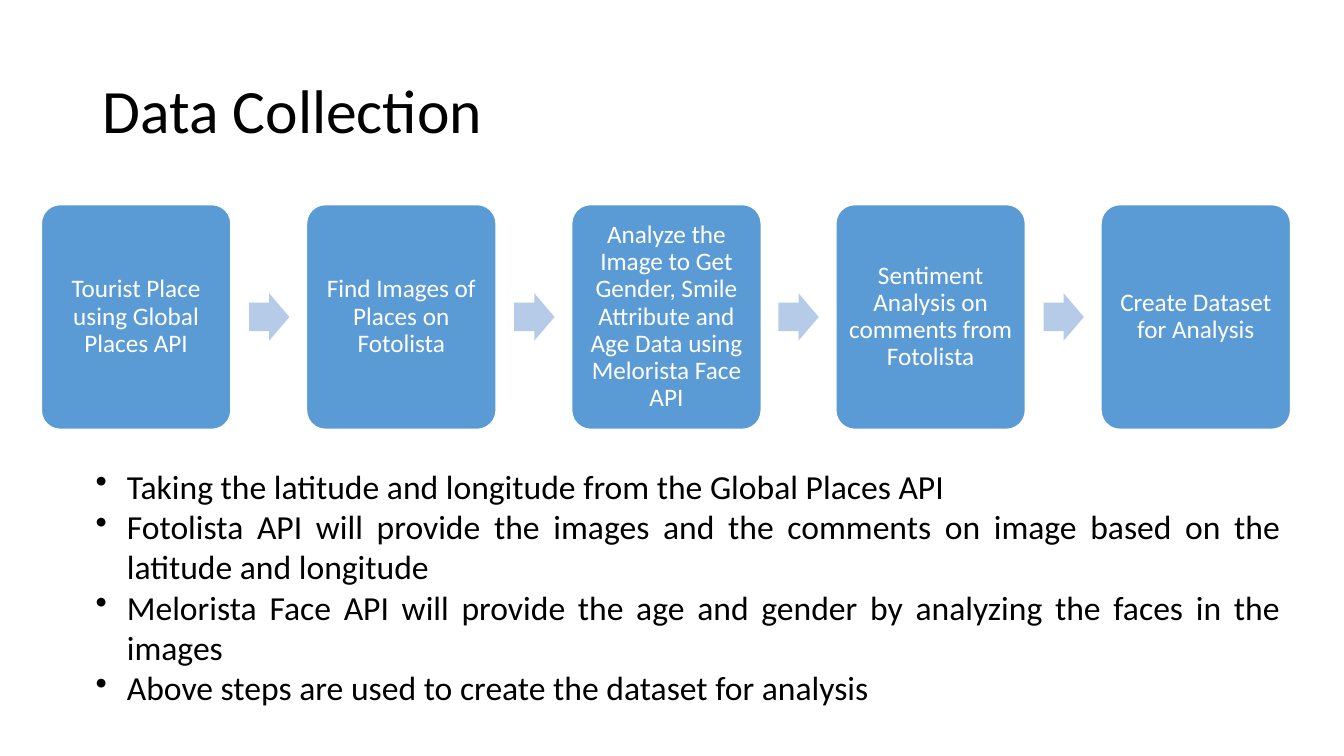
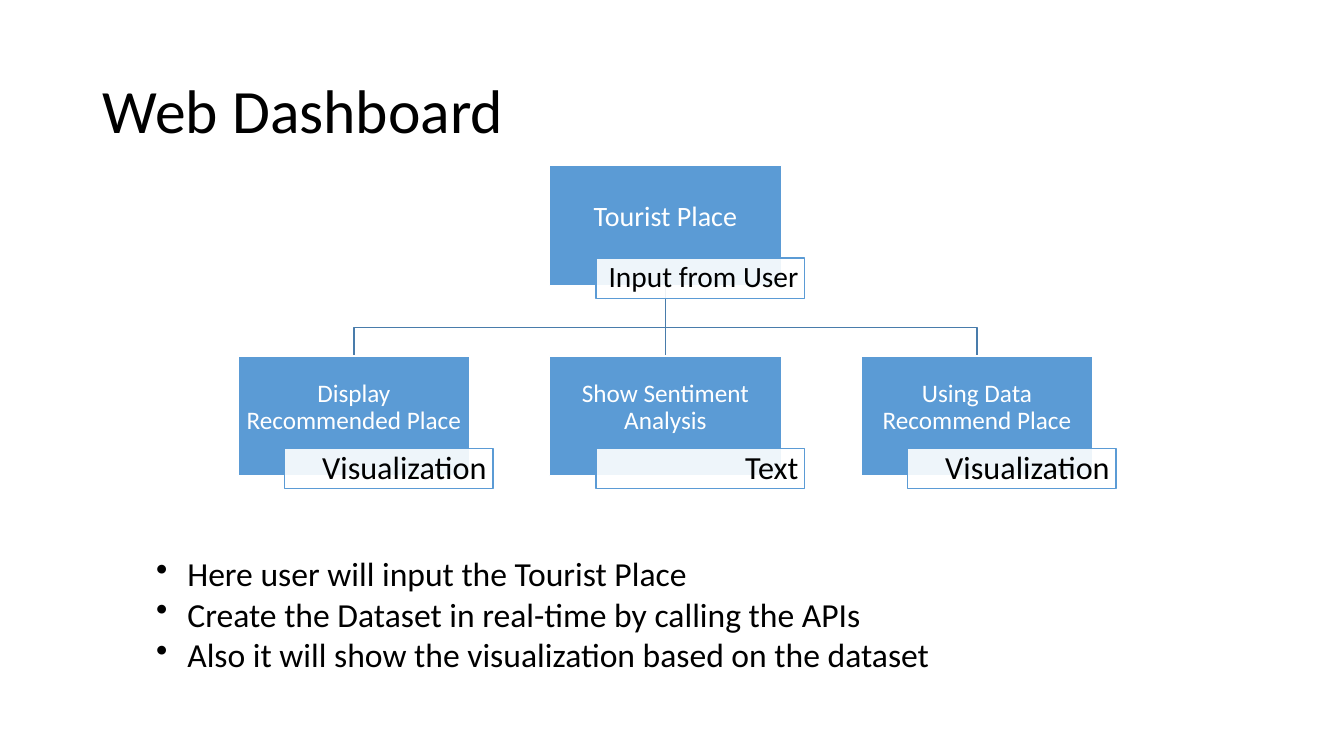
from pptx import Presentation
from pptx.dml.color import RGBColor
from pptx.enum.shapes import MSO_CONNECTOR as Connector, MSO_SHAPE as Shape
from pptx.enum.text import MSO_ANCHOR as Anchor, PP_ALIGN as Align
from pptx.oxml.xmlchemy import OxmlElement
from pptx.util import Emu, Pt


def px(length):
    """Turn px, 100 to the inch, into EMU."""
    return Emu(length * 9144)


def color(value):
    """Turn a hex string into a colour."""
    return RGBColor.from_string(value)


class Deck:
    """Hold the shared style and the slide being built."""

    FONT = "Calibri"
    BLUE, PALE_BLUE, LINK_BLUE = "5B9BD5", "B5CBE7", "497CAB"
    WHITE, BLACK = "FFFFFF", "000000"

    def __init__(self):
        """Start a wide presentation."""
        self.presentation = Presentation()
        self.presentation.slide_width = px(1333)
        self.presentation.slide_height = px(750)
        self.slide = None

    def add_slide(self, title):
        """Add a blank slide with the shared title."""
        self.slide = self.presentation.slides.add_slide(self.presentation.slide_layouts[6])
        frame = self.text_box(92, 40, 1150, 145)
        frame.vertical_anchor = Anchor.MIDDLE
        self.add_text(frame.paragraphs[0], title, 44, self.BLACK, Align.LEFT, 0.9)

    def text_box(self, left, top, width, height):
        """Add a wrapping text box and return its frame."""
        frame = self.slide.shapes.add_textbox(px(left), px(top), px(width), px(height)).text_frame
        frame.word_wrap = True
        return frame

    def add_text(self, paragraph, text, size, ink, align, spacing=1.0):
        """Fill a paragraph with one styled run."""
        paragraph.alignment = align
        paragraph.line_spacing = spacing
        run = paragraph.add_run()
        run.text = text
        run.font.name = self.FONT
        run.font.size = Pt(size)
        run.font.color.rgb = color(ink)

    def bullets(self, left, top, width, height, items):
        """Add a justified bullet list."""
        frame = self.text_box(left, top, width, height)
        for index, item in enumerate(items):
            paragraph = frame.add_paragraph() if index else frame.paragraphs[0]
            properties = paragraph._p.get_or_add_pPr()
            properties.set("marL", str(px(31)))
            properties.set("indent", str(px(-31)))
            bullet = OxmlElement("a:buChar")
            bullet.set("char", "•")
            properties.append(bullet)
            self.add_text(paragraph, item, 24, self.BLACK, Align.JUSTIFY)

    def block(self, kind, left, top, width, height, fill, outline=None, adjustments=()):
        """Add a filled preset shape."""
        shape = self.slide.shapes.add_shape(kind, px(left), px(top), px(width), px(height))
        shape.shadow.inherit = False
        for index, value in enumerate(adjustments):
            shape.adjustments[index] = value
        shape.fill.solid()
        shape.fill.fore_color.rgb = color(fill)
        if outline:
            shape.line.color.rgb = color(outline)
            shape.line.width = Pt(1)
        else:
            shape.line.fill.background()
        return shape

    def caption(self, shape, text, size, ink, align, insets):
        """Put text in the middle of a shape."""
        frame = shape.text_frame
        frame.word_wrap = True
        frame.vertical_anchor = Anchor.MIDDLE
        frame.margin_left, frame.margin_top, frame.margin_right, frame.margin_bottom = map(px, insets)
        self.add_text(frame.paragraphs[0], text, size, ink, align, 0.9)

    def step(self, left, text):
        """Add one rounded step of the process."""
        shape = self.block(Shape.ROUNDED_RECTANGLE, left, 203, 188, 223, self.BLUE, self.WHITE, [0.1])
        self.caption(shape, text, 18, self.WHITE, Align.CENTER, (7, 7, 7, 7))

    def arrow(self, left):
        """Add an arrow between two steps."""
        self.block(Shape.RIGHT_ARROW, left, 291, 40, 47, self.PALE_BLUE, adjustments=[0.6, 0.5])

    def node(self, center, top, text, size, label, label_size):
        """Add a chart box with its translucent label."""
        box = self.block(Shape.RECTANGLE, center - 115, top, 230, 119, self.BLUE, self.WHITE)
        self.caption(box, text, size, self.WHITE, Align.CENTER, (1, 1, 1, 17))
        tag = self.block(Shape.RECTANGLE, center - 69, top + 92, 207, 40, self.WHITE, self.BLUE)
        alpha = OxmlElement("a:alpha")
        alpha.set("val", "90000")
        tag.element.spPr.xpath("./a:solidFill/a:srgbClr")[0].append(alpha)
        self.caption(tag, label, label_size, self.BLACK, Align.RIGHT, (6, 1, 6, 1))

    def link(self, start, end, top, bend, bottom):
        """Join a parent to a child, with a bend when they are not aligned."""
        shapes = self.slide.shapes
        if start == end:
            line = shapes.add_connector(Connector.STRAIGHT, px(start), px(top), px(end), px(bottom))
            line.element.spPr.append(OxmlElement("a:effectLst"))
        else:
            builder = shapes.build_freeform(px(start), px(top))
            corners = [(start, bend), (end, bend), (end, bottom)]
            builder.add_line_segments([(px(x), px(y)) for x, y in corners], close=False)
            line = builder.convert_to_shape()
            line.shadow.inherit = False
            line.fill.background()
        line.line.color.rgb = color(self.LINK_BLUE)
        line.line.width = Pt(1)


def data_collection(deck):
    """Build the process slide."""
    deck.add_slide("Data Collection")
    steps = [
        "Tourist Place using Global Places API",
        "Find Images of Places on Fotolista",
        "Analyze the Image to Get Gender, Smile Attribute and Age Data using Melorista Face API",
        "Sentiment Analysis on comments from Fotolista",
        "Create Dataset for Analysis",
    ]
    for index, text in enumerate(steps):
        left = 41 + round(index * 262.75)
        if index:
            deck.arrow(left - 57)
        deck.step(left, text)
    deck.bullets(85, 457, 1195, 283, [
        "Taking the latitude and longitude from the Global Places API",
        "Fotolista API will provide the images and the comments on image based on the latitude and longitude",
        "Melorista Face API will provide the age and gender by analyzing the faces in the images",
        "Above steps are used to create the dataset for analysis",
    ])


def web_dashboard(deck):
    """Build the hierarchy slide."""
    deck.add_slide("Web Dashboard")
    middle, pitch = 660, 309
    root_top, child_top = 164, 353
    children = [
        ("Display Recommended Place", "Visualization"),
        ("Show Sentiment Analysis", "Text"),
        ("Using Data Recommend Place", "Visualization"),
    ]
    centers = [middle + pitch * offset for offset in (-1, 0, 1)]
    for center in centers:
        deck.link(middle, center, root_top + 120, 325, child_top)
    deck.node(middle, root_top, "Tourist Place", 20, "Input from User", 21)
    for center, (text, label) in zip(centers, children):
        deck.node(center, child_top, text, 18, label, 23)
    deck.bullets(145, 544, 1122, 131, [
        "Here user will input the Tourist Place",
        "Create the Dataset in real-time by calling the APIs",
        "Also it will show the visualization based on the dataset",
    ])


def main():
    """Build and save the presentation."""
    deck = Deck()
    data_collection(deck)
    web_dashboard(deck)
    deck.presentation.save("out.pptx")


if __name__ == "__main__":
    main()
